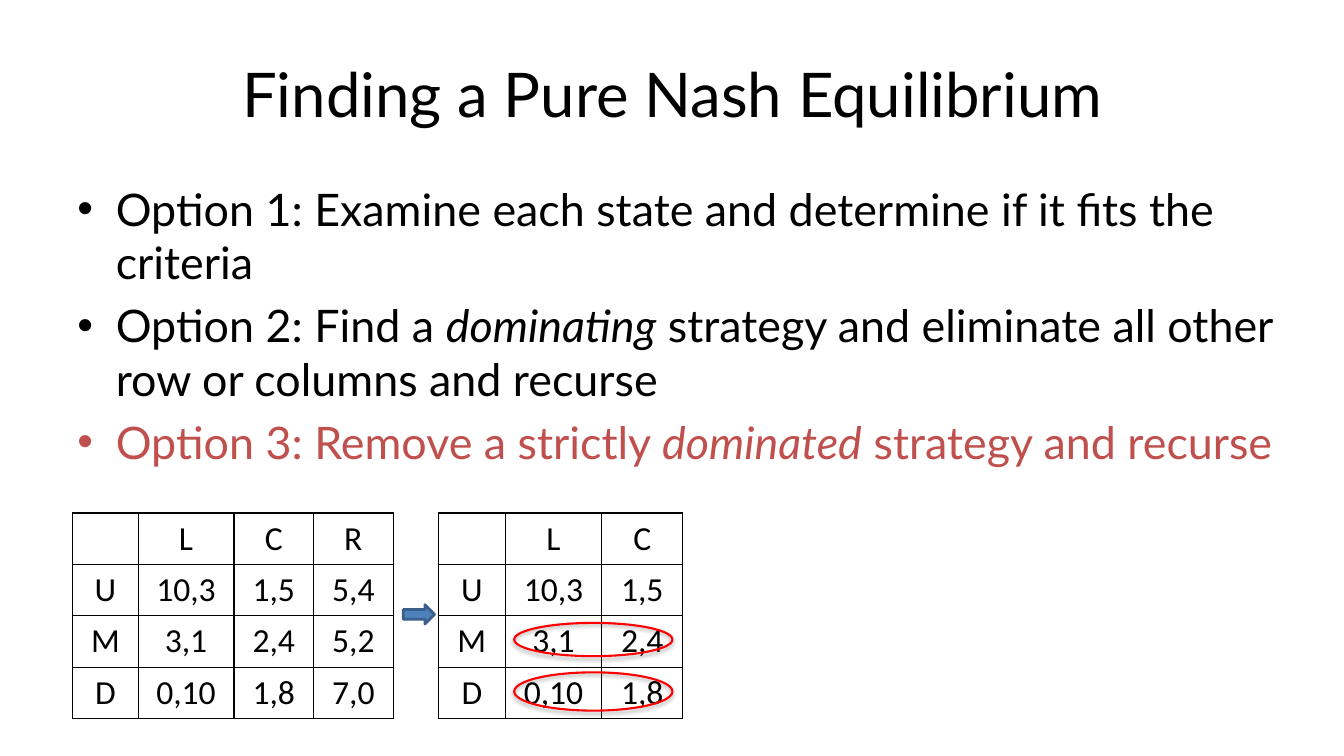
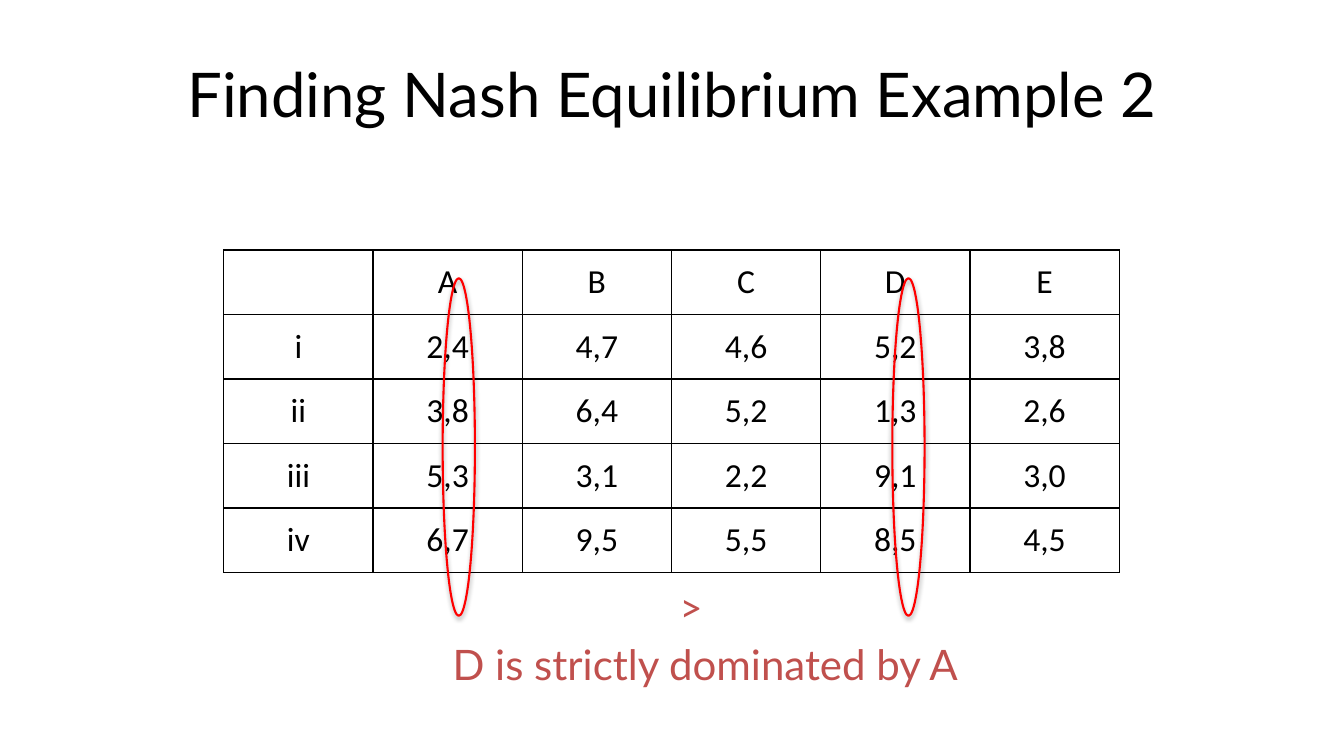
from lxml.etree import SubElement
from pptx import Presentation
from pptx.dml.color import RGBColor
from pptx.enum.shapes import MSO_SHAPE
from pptx.enum.text import MSO_ANCHOR, PP_ALIGN
from pptx.oxml import parse_xml
from pptx.oxml.ns import nsdecls, qn
from pptx.util import Inches, Pt

BLACK = RGBColor(0x00, 0x00, 0x00)
ACCENT_RED = RGBColor(0xC0, 0x50, 0x4D)
MARK_RED = RGBColor(0xFF, 0x00, 0x00)
ARROW_FILL = RGBColor(0x4F, 0x81, 0xBD)
ARROW_LINE = RGBColor(0x3A, 0x5F, 0x8C)

SHADOW = (
    f'<a:effectLst {nsdecls("a")}>'
    '<a:outerShdw blurRad="40000" dist="23000" dir="5400000" rotWithShape="0">'
    '<a:srgbClr val="000000"><a:alpha val="35000"/></a:srgbClr>'
    '</a:outerShdw></a:effectLst>'
)


def write_text(paragraph, text, font="Lato", size=32, color=BLACK,
               align=PP_ALIGN.LEFT, bullet=False, space_before=0):
    if bullet:
        properties = paragraph._p.get_or_add_pPr()
        properties.set("marL", str(Inches(0.38)))
        properties.set("indent", str(-Inches(0.38)))
        SubElement(properties, qn("a:buFont")).set("typeface", "Arial")
        SubElement(properties, qn("a:buChar")).set("char", "•")
    paragraph.alignment = align
    paragraph.space_before = Pt(space_before)
    for position, part in enumerate(text.split("*")):
        run = paragraph.add_run()
        run.text = part
        run.font.name = font
        run.font.size = Pt(size)
        run.font.bold = False
        run.font.italic = position % 2 == 1
        run.font.color.rgb = color


class Deck:
    def __init__(self):
        self.presentation = Presentation()
        self.presentation.slide_width = Inches(13.33)
        self.presentation.slide_height = Inches(7.5)
        self.slide = None

    def add_slide(self, title):
        layout = self.presentation.slide_layouts[6]
        self.slide = self.presentation.slides.add_slide(layout)
        self.add_text(title, 0.67, 0.3, 12, 1.25, anchor=MSO_ANCHOR.MIDDLE,
                      size=44, align=PP_ALIGN.CENTER)

    def add_frame(self, left, top, width, height, anchor=MSO_ANCHOR.TOP):
        box = self.slide.shapes.add_textbox(
            Inches(left), Inches(top), Inches(width), Inches(height))
        box.text_frame.word_wrap = True
        box.text_frame.vertical_anchor = anchor
        return box.text_frame

    def add_text(self, text, left, top, width, height,
                 anchor=MSO_ANCHOR.TOP, **style):
        frame = self.add_frame(left, top, width, height, anchor)
        write_text(frame.paragraphs[0], text, **style)

    def add_bullets(self, items, left, top, width, height):
        frame = self.add_frame(left, top, width, height)
        for index, (text, color) in enumerate(items):
            paragraph = frame.add_paragraph() if index else frame.paragraphs[0]
            write_text(paragraph, text, color=color, bullet=True,
                       space_before=6.4 if index else 0)

    def add_payoffs(self, rows, left, top, column_widths, row_height):
        table = self.slide.shapes.add_table(
            len(rows), len(column_widths), Inches(left), Inches(top),
            Inches(sum(column_widths)), Inches(row_height * len(rows))).table
        table.first_row = False
        table.horz_banding = False
        for column, width in zip(table.columns, column_widths):
            column.width = Inches(width)
        for row, values in zip(table.rows, rows):
            row.height = Inches(row_height)
            for cell, value in zip(row.cells, values):
                self.format_cell(cell)
                if value:
                    write_text(cell.text_frame.paragraphs[0], value,
                               font="Calibri", size=24, align=PP_ALIGN.CENTER)

    def format_cell(self, cell):
        cell.fill.background()
        cell.vertical_anchor = MSO_ANCHOR.MIDDLE
        properties = cell._tc.get_or_add_tcPr()
        for index, side in enumerate("LRTB"):
            properties.insert(index, parse_xml(
                f'<a:ln{side} {nsdecls("a")} w="{Pt(1)}"><a:solidFill>'
                f'<a:srgbClr val="{BLACK}"/></a:solidFill></a:ln{side}>'))

    def add_shape(self, kind, left, top, width, height, line_color, line_width):
        shape = self.slide.shapes.add_shape(
            kind, Inches(left), Inches(top), Inches(width), Inches(height))
        shape.line.color.rgb = line_color
        shape.line.width = Pt(line_width)
        return shape

    def add_arrow(self, left, top, width, height):
        arrow = self.add_shape(MSO_SHAPE.RIGHT_ARROW, left, top, width, height,
                               ARROW_LINE, 2)
        arrow.shadow.inherit = False
        arrow.fill.solid()
        arrow.fill.fore_color.rgb = ARROW_FILL

    def add_ring(self, left, top, width, height):
        ring = self.add_shape(MSO_SHAPE.OVAL, left, top, width, height,
                              MARK_RED, 1.5)
        ring.fill.background()
        ring._element.spPr.append(parse_xml(SHADOW))


def add_options_slide(deck):
    payoffs = [
        ["", "L", "C", "R"],
        ["U", "10,3", "1,5", "5,4"],
        ["M", "3,1", "2,4", "5,2"],
        ["D", "0,10", "1,8", "7,0"],
    ]
    deck.add_slide("Finding a Pure Nash Equilibrium")
    deck.add_payoffs(payoffs, 0.72, 5.09, [0.65, 0.95, 0.79, 0.79], 0.51)
    deck.add_payoffs([row[:3] for row in payoffs], 4.35, 5.09,
                     [0.66, 0.96, 0.8], 0.51)
    deck.add_arrow(4, 6, 0.31, 0.19)
    deck.add_bullets([
        ("Option 1: Examine each state and determine if it fits the criteria",
         BLACK),
        ("Option 2: Find a *dominating* strategy and eliminate all other "
         "row or columns and recurse", BLACK),
        ("Option 3: Remove a strictly *dominated* strategy and recurse",
         ACCENT_RED),
    ], 0.67, 1.75, 12.42, 4.95)
    for top, height in ((6.67, 0.38), (6.18, 0.33)):
        deck.add_ring(5.1, top, 1.57, height)


def add_example_slide(deck):
    deck.add_slide("Finding Nash Equilibrium Example 2")
    deck.add_payoffs([
        ["", "A", "B", "C", "D", "E"],
        ["i", "2,4", "4,7", "4,6", "5,2", "3,8"],
        ["ii", "3,8", "6,4", "5,2", "1,3", "2,6"],
        ["iii", "5,3", "3,1", "2,2", "9,1", "3,0"],
        ["iv", "6,7", "9,5", "5,5", "8,5", "4,5"],
    ], 2.22, 2.48, [1.48] * 6, 0.64)
    for left in (8.85, 4.39):
        deck.add_ring(left, 2.76, 0.32, 3.35)
    deck.add_text(">", 6.65, 5.71, 0.41, 0.61, font="Calibri", size=30,
                  color=ACCENT_RED)
    deck.add_text("D is strictly dominated by A", 4.39, 6.29, 5.39, 0.61,
                  size=30, color=ACCENT_RED)


def main():
    deck = Deck()
    add_options_slide(deck)
    add_example_slide(deck)
    deck.presentation.save("out.pptx")


if __name__ == "__main__":
    main()
